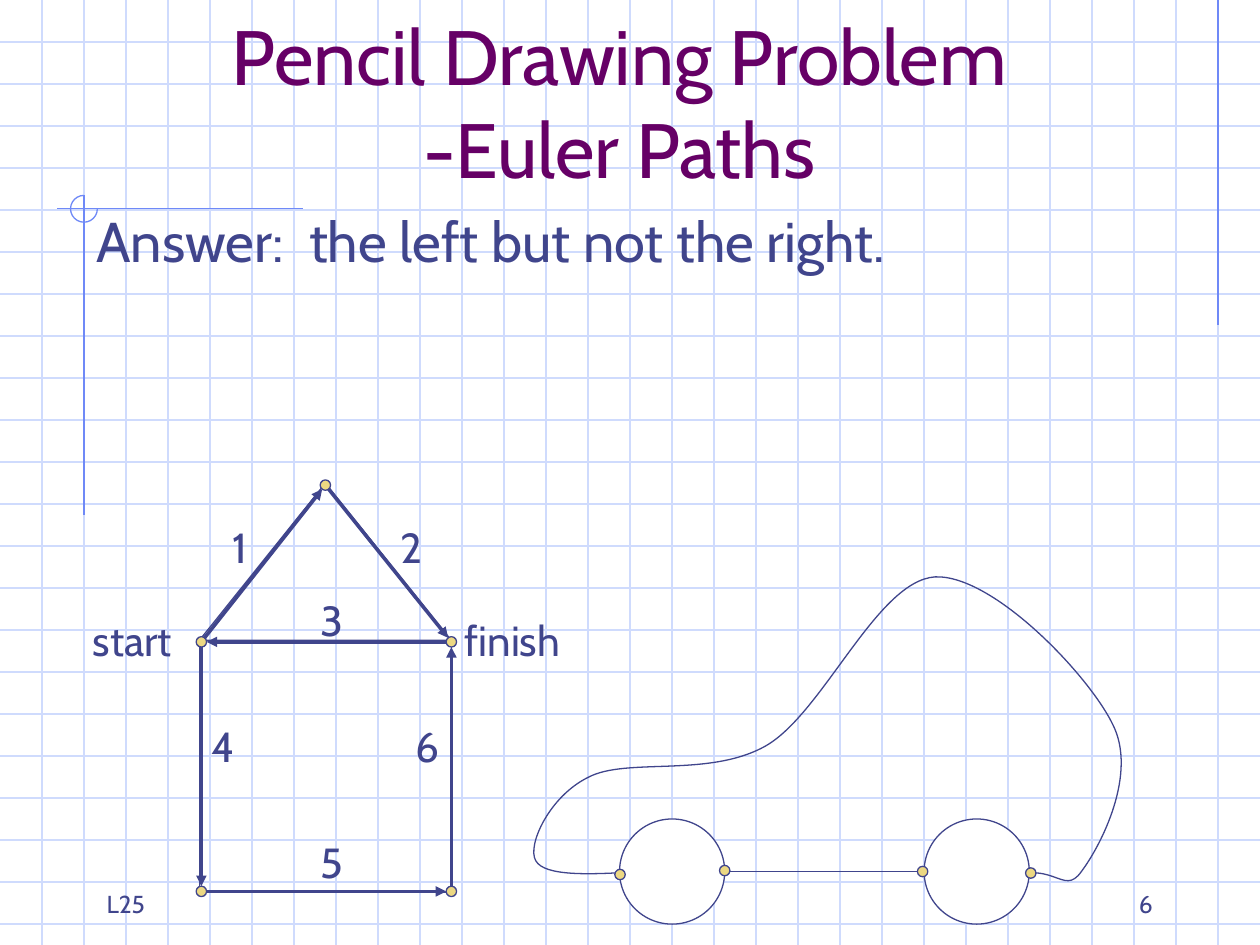
from math import hypot

from lxml.etree import SubElement
from pptx import Presentation
from pptx.dml.color import RGBColor
from pptx.enum.shapes import MSO_CONNECTOR as CONN, MSO_SHAPE as SHAPE
from pptx.enum.text import MSO_ANCHOR as ANCHOR, MSO_AUTO_SIZE as AUTO, PP_ALIGN as ALIGN
from pptx.oxml.ns import qn
from pptx.util import Cm, Pt

FONT = "Cabin"
INK, PLUM, GOLD, WHITE = "40458C", "660066", "ECD882", "FFFFFF"
GRID, MARGIN = "CFDBFD", "6F89F7"
WIDTH, HEIGHT = 25.4, 19.05
NODE = 0.21  # node diameter in cm


def rgb(color):
    return RGBColor.from_string(color)


def style_text(sp, text, size, color=INK, align=ALIGN.LEFT, **frame):
    tf = sp.text_frame
    for name, value in {"auto_size": AUTO.NONE, "word_wrap": True, **frame}.items():
        setattr(tf, name, value)
    tf.text = text
    p = tf.paragraphs[0]
    p.alignment, p.space_before = align, Pt(0)
    for r in p.runs:
        for name, value in {"name": FONT, "size": Pt(size)}.items():
            setattr(r.font, name, value)
        r.font.color.rgb = rgb(color)
    return p


def add_text(shapes, box, text, size, **fmt):
    sp = shapes.add_textbox(*map(Cm, box))
    style_text(sp, text, size, **fmt)


def style_shape(sp, fill=None, line=INK):
    sp.shadow.inherit = False
    if fill:
        sp.fill.solid()
        sp.fill.fore_color.rgb = rgb(fill)
    else:
        sp.fill.background()
    sp.line.color.rgb, sp.line.width = rgb(line), Pt(0.75)
    return sp


def add_outline(shapes, kind, x, y, w, h, **fmt):
    return style_shape(shapes.add_shape(kind, *map(Cm, (x, y, w, h))), **fmt)


def add_node(shapes, x, y):
    add_outline(shapes, SHAPE.OVAL, x - NODE / 2, y - NODE / 2, NODE, NODE, fill=GOLD)


def add_line(shapes, x1, y1, x2, y2, color=INK, width=0.75, arrow=False):
    c = shapes.add_connector(CONN.STRAIGHT, *map(Cm, (x1, y1, x2, y2)))
    c.line.color.rgb, c.line.width = rgb(color), Pt(width)
    if arrow:
        SubElement(c.line._get_or_add_ln(), qn("a:tailEnd"), type="triangle")
    SubElement(c._element.spPr, qn("a:effectLst"))


def add_graph_paper(slide):
    """Grid and margin rules, grouped behind the placeholders."""
    grp = slide.shapes.add_group_shape()
    pitch = WIDTH / 30
    for i in range(1, 23):
        add_line(grp.shapes, 0, i * pitch, WIDTH, i * pitch, GRID)
    for i in range(1, 30):
        add_line(grp.shapes, i * pitch, 0, i * pitch, HEIGHT, GRID)
    left, right, cross = 2 * pitch, 29 * pitch, 4.21
    add_line(grp.shapes, right, 0, right, 6.56, MARGIN)
    add_line(grp.shapes, 6.1, cross, 1.15, cross, MARGIN)
    add_line(grp.shapes, left, 3.94, left, 10.39, MARGIN)
    arc = add_outline(grp.shapes, SHAPE.ARC, left - 0.27, cross - 0.27, 0.54, 0.54, line=MARGIN)
    arc.adjustments[0], arc.adjustments[1] = 0, 162  # 0 to 270 degrees
    slide.shapes._spTree.insert(2, grp._element)


def place(sp, x, y, w, h):
    for name, value in zip(("left", "top", "width", "height"), (x, y, w, h)):
        setattr(sp, name, Cm(value))


def add_headings(slide, x, y, w):
    title, body = slide.placeholders
    place(title, x, y, w, 3.18)
    style_text(title, "Pencil Drawing Problem\v-Euler Paths", 44, PLUM, ALIGN.CENTER,
               vertical_anchor=ANCHOR.BOTTOM)
    place(body, x, y + 3.18, w, 11.43)
    p = style_text(body, "Answer:  the left but not the right.", 32,
                   vertical_anchor=ANCHOR.TOP)
    pPr = p._p.get_or_add_pPr()
    pPr.set("marL", str(Cm(0.95)))
    pPr.set("indent", str(-Cm(0.95)))
    SubElement(pPr, qn("a:buNone"))


def add_footer(shapes, x, y, w):
    box_w = 5.29
    add_text(shapes, (x, y, box_w, 1.27), "L25", 14, vertical_anchor=ANCHOR.BOTTOM)
    add_text(shapes, (x + w - box_w, y, box_w, 1.27), "6", 14, align=ALIGN.RIGHT,
             vertical_anchor=ANCHOR.BOTTOM)


def add_house(shapes, x, y, side, roof):
    """House outline with the numbered Euler path over it."""
    add_outline(shapes, SHAPE.RECTANGLE, x, y + roof, side, side)
    add_outline(shapes, SHAPE.ISOSCELES_TRIANGLE, x, y, side, roof)

    west, east = x + 0.04, x + side
    eaves, floor = y + roof + 0.03, y + roof + side - 0.02
    top, start, finish = (x + side / 2, y + 0.04), (west, eaves), (east, eaves)
    floor_left, floor_right = (west, floor), (east, floor)
    for node in (top, finish, start, floor_right, floor_left):
        add_node(shapes, *node)

    path = [(start, top), (top, finish), (finish, start),
            (start, floor_left), (floor_left, floor_right), (floor_right, finish)]
    for (x1, y1), (x2, y2) in path:
        trim = NODE / 2 / hypot(x2 - x1, y2 - y1)
        dx, dy = (x2 - x1) * trim, (y2 - y1) * trim
        add_line(shapes, x1 + dx, y1 + dy, x2 - dx, y2 - dy, width=2, arrow=True)

    labels = [("start", -2.4, 2.53, 2.34), ("finish", 5.1, 2.53, 2.7),
              ("1", 0.42, 0.64, 1), ("2", 3.8, 0.64, 1), ("3", 2.2, 2.12, 1),
              ("4", 0, 4.66, 1), ("5", 2.2, 6.99, 1), ("6", 4.1, 4.66, 1)]
    for text, dx, dy, w in labels:
        add_text(shapes, (x + dx, y + dy, w, 1.27), text, 24, word_wrap=False)


def add_curve(shapes, x, y, points):
    """Open Bezier curve: a start point, then three points per segment."""
    pts = [(Cm(x + dx), Cm(y + dy)) for dx, dy in points]
    fb = shapes.build_freeform(*pts[0])
    fb.add_line_segments(pts[1:], close=False)
    sp = style_shape(fb.convert_to_shape())
    outline = sp._element.spPr.find(".//" + qn("a:path"))
    lines = outline.findall(qn("a:lnTo"))
    for i in range(0, len(lines), 3):
        curve = SubElement(outline, qn("a:cubicBezTo"))
        for ln in lines[i:i + 3]:
            curve.append(ln[0])
            outline.remove(ln)


def add_car(shapes, x, y):
    add_curve(shapes, x, y, [
        (2.29, 5.99),
        (1.32, 6.05), (0.36, 6.1), (0.18, 5.77),
        (0, 5.46), (0.46, 4.47), (1.24, 4.09),
        (2.01, 3.68), (3.68, 4.11), (4.83, 3.45),
        (5.99, 2.77), (7.06, 0.13), (8.23, 0.05),
        (9.4, 0), (11.33, 2.03), (11.81, 3.02),
        (12.32, 4.01), (11.58, 5.46), (11.18, 5.99),
        (10.8, 6.53), (10.62, 5.66), (9.5, 6.2)])
    add_line(shapes, x + 3.56, y + 5.99, x + 8.23, y + 5.99)
    for dx in (8.01, 1.87):
        add_outline(shapes, SHAPE.OVAL, x + dx, y + 4.93, 2.12, 2.12, fill=WHITE)
    for dx, dy in ((7.98, 5.99), (3.99, 5.97), (10.16, 6.02), (1.88, 6.05)):
        add_node(shapes, x + dx, y + dy)


def main():
    prs = Presentation()
    prs.slide_width, prs.slide_height = Cm(WIDTH), Cm(HEIGHT)
    slide = prs.slides.add_slide(prs.slide_layouts[1])
    add_graph_paper(slide)
    add_headings(slide, 1.69, 0.85, 21.59)
    add_footer(slide.shapes, 1.9, 17.36, 21.59)
    add_house(slide.shapes, 4.02, 9.74, 5.08, 3.17)
    add_car(slide.shapes, 10.62, 11.58)
    prs.save("out.pptx")


if __name__ == "__main__":
    main()
